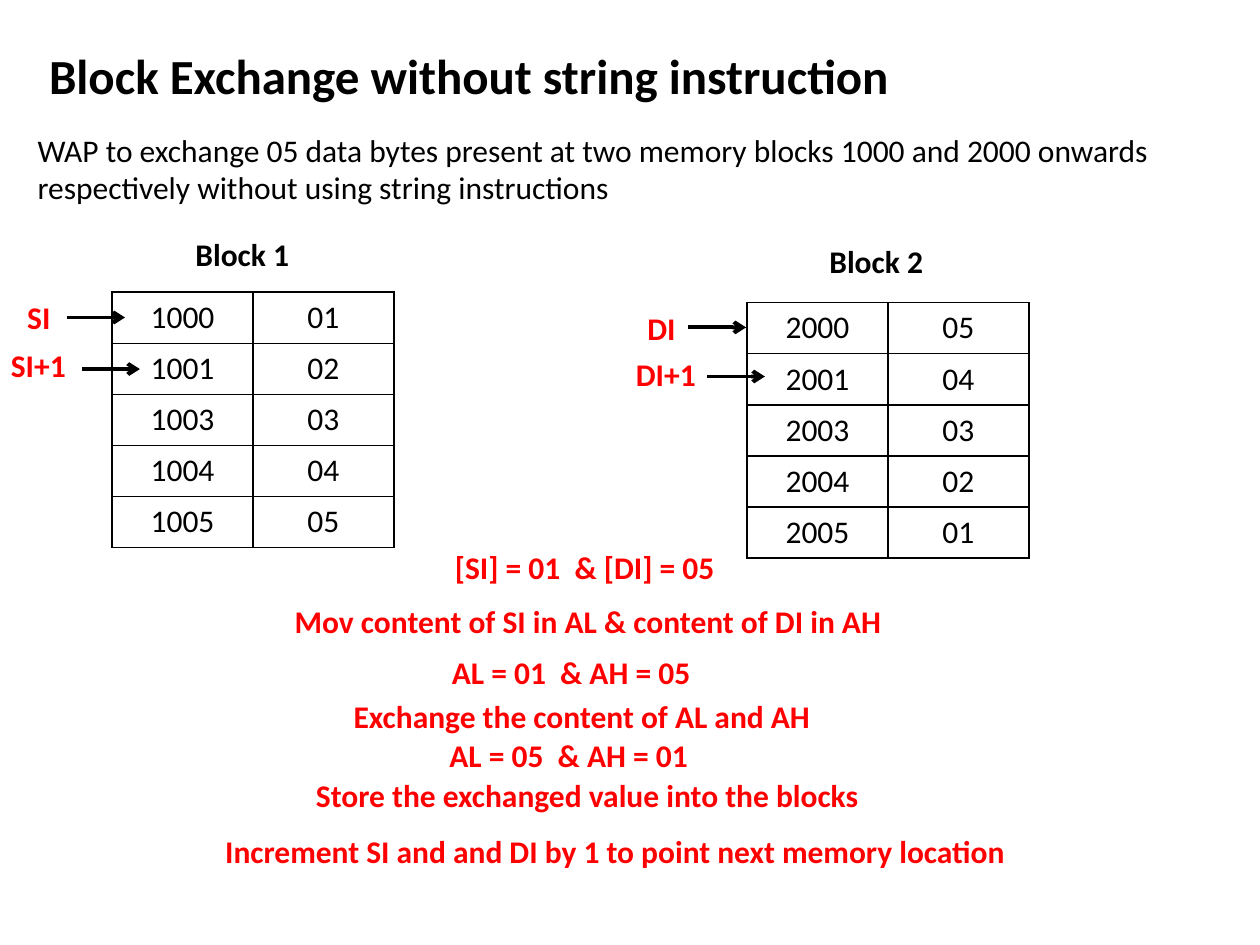
import pptx
import pptx.dml.color
import pptx.enum.shapes
import pptx.enum.text
import pptx.oxml.ns
import pptx.util
from lxml import etree

Cm, Pt = pptx.util.Cm, pptx.util.Pt
ALIGN = pptx.enum.text.PP_ALIGN
qn = pptx.oxml.ns.qn

BLACK, RED = "000000", "FF0000"
COL_W, ROW_H, LINE_H, ARROW_W = 2.84, 1.03, 1.02, 1.17

TITLE = "Block Exchange without string instruction"
TASK = ("WAP to exchange 05 data bytes present at two memory blocks 1000 and 2000 onwards "
        "respectively without using string instructions")

# Positions and sizes are in centimetres.
BLOCKS = [
    {"name": "Block 1", "name_at": (3.68, 4.5), "table_at": (2.26, 5.89),
     "rows": [("1000", "01"), ("1001", "02"), ("1003", "03"), ("1004", "04"), ("1005", "05")]},
    {"name": "Block 2", "name_at": (16.46, 4.65), "table_at": (15.06, 6.1),
     "rows": [("2000", "05"), ("2001", "04"), ("2003", "03"), ("2004", "02"), ("2005", "01")]},
]
# text, left, top, width, wrap, arrow start
POINTERS = [
    ("SI", 0.3, 5.89, 0.99, False, (1.35, 6.4)),
    ("DI", 12.8, 6.1, 1.09, False, (13.87, 6.6)),
    ("SI+1", -0.03, 6.86, 1.96, True, (1.65, 7.44)),
    ("DI+1", 12.57, 7.04, 1.96, True, (14.25, 7.59)),
]
# text, left, top, width, wrap
STEPS = [
    ("[SI] = 01  & [DI] = 05", 8.92, 10.92, 5.82, False),
    ("Mov content of SI in AL & content of DI in AH", 5.69, 12.01, 12.73, True),
    ("AL = 01  & AH = 05", 8.86, 13.03, 5.38, False),
    ("Exchange the content of AL and AH", 6.88, 13.92, 10.01, True),
    ("AL = 05  & AH = 01", 8.81, 14.71, 5.38, False),
    ("Store the exchanged value into the blocks", 6.12, 15.52, 12.01, True),
    ("Increment SI and and DI by 1 to point next memory location", 4.29, 16.64, 16.79, True),
]


def rgb(color):
    return pptx.dml.color.RGBColor.from_string(color)


def add_run(p, text, size=18, color=BLACK, bold=False):
    r = p.add_run()
    r.text = text
    r.font.name = "Calibri"
    r.font.size = Pt(size)
    r.font.bold = bold
    r.font.color.rgb = rgb(color)


def add_text(slide, text, x, y, w, h=LINE_H, wrap=True, **font):
    """Add a one-paragraph text box and return the paragraph."""
    tf = slide.shapes.add_textbox(Cm(x), Cm(y), Cm(w), Cm(h)).text_frame
    tf.word_wrap = wrap
    tf.auto_size = pptx.enum.text.MSO_AUTO_SIZE.SHAPE_TO_FIT_TEXT
    add_run(tf.paragraphs[0], text, **font)
    return tf.paragraphs[0]


def add_arrow(slide, x, y):
    line = slide.shapes.add_connector(pptx.enum.shapes.MSO_CONNECTOR.STRAIGHT,
                                      Cm(x), Cm(y), Cm(x + ARROW_W), Cm(y))
    line.line.color.rgb = rgb(BLACK)
    line.line.width = Pt(2.25)
    etree.SubElement(line.line._get_or_add_ln(), qn("a:tailEnd"), type="arrow")
    etree.SubElement(line._element.spPr, qn("a:effectLst"))


def add_borders(cell):
    tcPr = cell._tc.get_or_add_tcPr()
    for side in ("a:lnL", "a:lnR", "a:lnT", "a:lnB"):
        ln = etree.SubElement(tcPr, qn(side), w=str(Pt(1)))
        fill = etree.SubElement(ln, qn("a:solidFill"))
        etree.SubElement(fill, qn("a:srgbClr"), val=BLACK)


def add_block(slide, block):
    p = add_text(slide, block["name"], *block["name_at"], 2.41, 1.14, wrap=False, bold=True)
    p.alignment = ALIGN.CENTER
    p.line_spacing = 1.15
    p.space_after = Pt(10)

    rows = block["rows"]
    x, y = block["table_at"]
    table = slide.shapes.add_table(len(rows), 2, Cm(x), Cm(y),
                                   Cm(2 * COL_W), Cm(len(rows) * ROW_H)).table
    table.first_row = table.horz_banding = False
    for col in table.columns:
        col.width = Cm(COL_W)
    for i, values in enumerate(rows):
        table.rows[i].height = Cm(ROW_H)
        for j, value in enumerate(values):
            cell = table.cell(i, j)
            add_borders(cell)
            cell.fill.background()
            p = cell.text_frame.paragraphs[0]
            p.alignment = ALIGN.CENTER
            add_run(p, value)


def main():
    prs = pptx.Presentation()
    prs.slide_width, prs.slide_height = Cm(25.4), Cm(19.05)
    slide = prs.slides.add_slide(prs.slide_layouts[6])
    add_text(slide, TITLE, 0.74, 0.79, 17.81, 1.45, size=28, bold=True)
    add_text(slide, TASK, 0.51, 2.51, 23.8, 1.8)
    for block in BLOCKS:
        add_block(slide, block)
    for text, x, y, w, wrap, arrow_start in POINTERS:
        add_arrow(slide, *arrow_start)
        add_text(slide, text, x, y, w, wrap=wrap, color=RED, bold=True)
    for text, x, y, w, wrap in STEPS:
        add_text(slide, text, x, y, w, wrap=wrap, color=RED, bold=True)
    prs.save("out.pptx")


if __name__ == "__main__":
    main()
